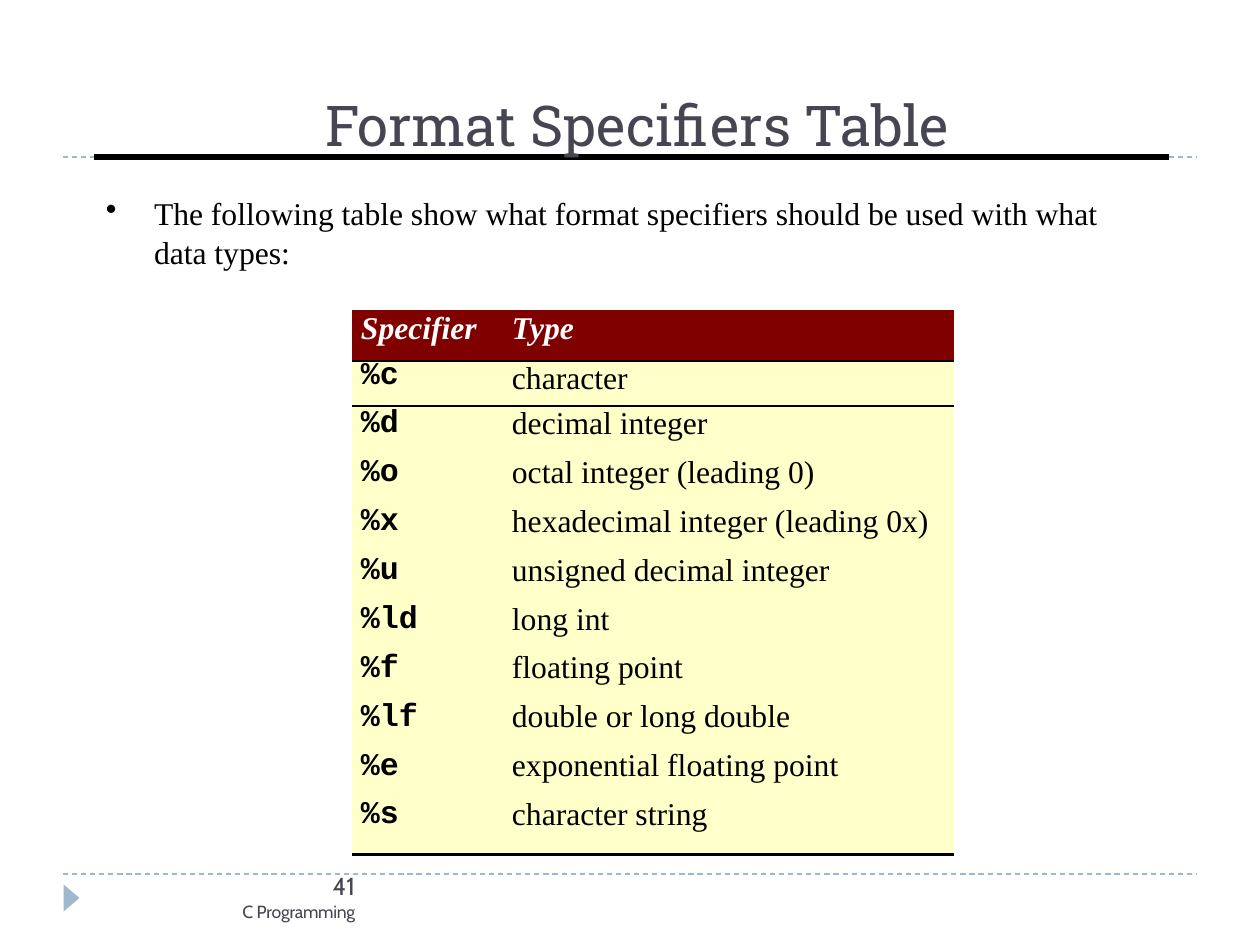
from pptx import Presentation
from pptx.dml.color import RGBColor
from pptx.enum.dml import MSO_LINE
from pptx.enum.shapes import MSO_CONNECTOR as CONN, MSO_SHAPE as SHAPE
from pptx.enum.text import MSO_ANCHOR as ANCHOR, PP_ALIGN as ALIGN
from pptx.oxml import parse_xml
from pptx.oxml.ns import nsdecls, qn
from pptx.util import Pt

TITLE = "Format Specifiers Table"
INTRO = "The following table show what format specifiers should be used with what data types:"
PAGE, FOOTER = "41", "C Programming"
HEADER = ("Specifier", "Type")
SPECIFIERS = [
    ("%c", "character"),
    ("%d", "decimal integer"),
    ("%o", "octal integer (leading 0)"),
    ("%x", "hexadecimal integer (leading 0x)"),
    ("%u", "unsigned decimal integer"),
    ("%ld", "long int"),
    ("%f", "floating point"),
    ("%lf", "double or long double"),
    ("%e", "exponential floating point"),
    ("%s", "character string"),
]
COLORS = {
    "slate": "464653", "sky": "9FB8CD", "black": "000000", "ink": "010000",
    "white": "FFFFFF", "maroon": "800000", "cream": "FFFFCA",
}
SERIF, MONO, SLAB, SANS = "Times New Roman", "Courier New", "Roboto Slab", "Cabin"
NO_GRID = "{2D5ABB26-0587-4C30-8999-92F81FD0307C}"

PX = 7228
COL_WIDTHS = (143, 459)
COL_INDENTS = (9, 17)
ROW_HEIGHTS = [51, 45] + [49] * 8 + [57]
RULED_ROWS = (0, 1, len(SPECIFIERS))


def px(*values):
    return [v * PX for v in values]


def rgb(name):
    return RGBColor.from_string(COLORS[name])


def write(p, text, size=18, font=SERIF, color="black", bold=False, italic=False,
          spacing=0, align=ALIGN.LEFT, margin=0, indent=0, bullet=None,
          line=None, before=None):
    pPr = p._p.get_or_add_pPr()
    pPr.set("marL", str(margin * PX))
    pPr.set("indent", str(indent * PX))
    if bullet:
        pPr.append(parse_xml(f'<a:buChar {nsdecls("a")} char="{bullet}"/>'))
        pPr.append(parse_xml(f'<a:tabLst {nsdecls("a")}><a:tab pos="{margin * PX}" algn="l"/></a:tabLst>'))
    p.alignment = align
    if line:
        p.line_spacing = line
    if before is not None:
        p.space_before = Pt(before)
    r = p.add_run()
    r.text = text
    r.font.size, r.font.name = Pt(size), font
    r.font.bold, r.font.italic = bold, italic
    r.font.color.rgb = rgb(color)
    if spacing:
        r._r.get_or_add_rPr().set("spc", str(spacing))


def add_box(s, x, y, w, h, anchor=ANCHOR.TOP):
    tf = s.shapes.add_textbox(*px(x, y, w, h)).text_frame
    tf.word_wrap = True
    tf.vertical_anchor = anchor
    tf.margin_left = tf.margin_right = tf.margin_top = tf.margin_bottom = 0
    return tf


def add_rule(s, x1, x2, y, color, width, dash=None):
    c = s.shapes.add_connector(CONN.STRAIGHT, *px(x1, y, x2, y))
    c.line.color.rgb = rgb(color)
    c.line.width = Pt(width)
    if dash:
        c.line.dash_style = dash
    c._element.spPr.append(parse_xml(f'<a:effectLst {nsdecls("a")}/>'))


def add_bottom_border(cell):
    cell._tc.get_or_add_tcPr().insert(0, parse_xml(
        f'<a:lnB {nsdecls("a")} w="{Pt(1.44)}"><a:solidFill>'
        f'<a:srgbClr val="{COLORS["black"]}"/></a:solidFill></a:lnB>'))


def cell_format(row, col):
    if row == 0:
        return dict(color="white", bold=True, italic=True, line=Pt(20.4))
    fmt = dict(color="ink", font=SERIF if col else MONO, bold=not col)
    if row == 1:
        fmt["line"] = Pt(20.1 if col else 18.7)
    elif col:
        fmt["before"] = 1.5
    return fmt


def add_specifier_table(s, x, y):
    rows = [HEADER] + SPECIFIERS
    frame = s.shapes.add_table(len(rows), len(HEADER),
                               *px(x, y, sum(COL_WIDTHS), sum(ROW_HEIGHTS)))
    table = frame.table
    table.first_row = table.horz_banding = False
    next(frame._element.iter(qn("a:tableStyleId"))).text = NO_GRID
    for col, width in enumerate(COL_WIDTHS):
        table.columns[col].width = width * PX
    for row, texts in enumerate(rows):
        table.rows[row].height = ROW_HEIGHTS[row] * PX
        for col, text in enumerate(texts):
            cell = table.cell(row, col)
            cell.margin_left = cell.margin_right = cell.margin_top = cell.margin_bottom = 0
            cell.fill.solid()
            cell.fill.fore_color.rgb = rgb("cream" if row else "maroon")
            if row in RULED_ROWS:
                add_bottom_border(cell)
            write(cell.text_frame.paragraphs[0], text,
                  margin=COL_INDENTS[col], **cell_format(row, col))


def main():
    prs = Presentation()
    prs.slide_width, prs.slide_height = px(1260, 944)
    s = prs.slides.add_slide(prs.slide_layouts[6])

    for y in (874, 157):
        add_rule(s, 63, 1197, y, "sky", 0.75, MSO_LINE.DASH)
    sp = s.shapes.add_shape(SHAPE.ISOSCELES_TRIANGLE, *px(58, 890, 27, 16))
    sp.rotation = 90
    sp.shadow.inherit = False
    sp.fill.solid()
    sp.fill.fore_color.rgb = rgb("sky")
    sp.line.fill.background()
    add_rule(s, 94, 1169, 157, "black", 3)

    tf = add_box(s, 63, 21, 1133, 137, ANCHOR.BOTTOM)
    write(tf.paragraphs[0], TITLE, size=32, font=SLAB, color="slate",
          spacing=-10, margin=263)

    tf = add_box(s, 85, 874, 270, 51)
    write(tf.paragraphs[0], PAGE, size=14, font=SANS, color="slate",
          align=ALIGN.RIGHT, line=Pt(15.1))
    write(tf.add_paragraph(), FOOTER, size=10, font=SANS, color="slate",
          align=ALIGN.RIGHT, spacing=-10)

    tf = add_box(s, 105, 194, 996, 78)
    write(tf.paragraphs[0], INTRO, margin=49, indent=-48, bullet="•", line=1.01)

    add_specifier_table(s, 352, 310)
    prs.save("out.pptx")


if __name__ == "__main__":
    main()
